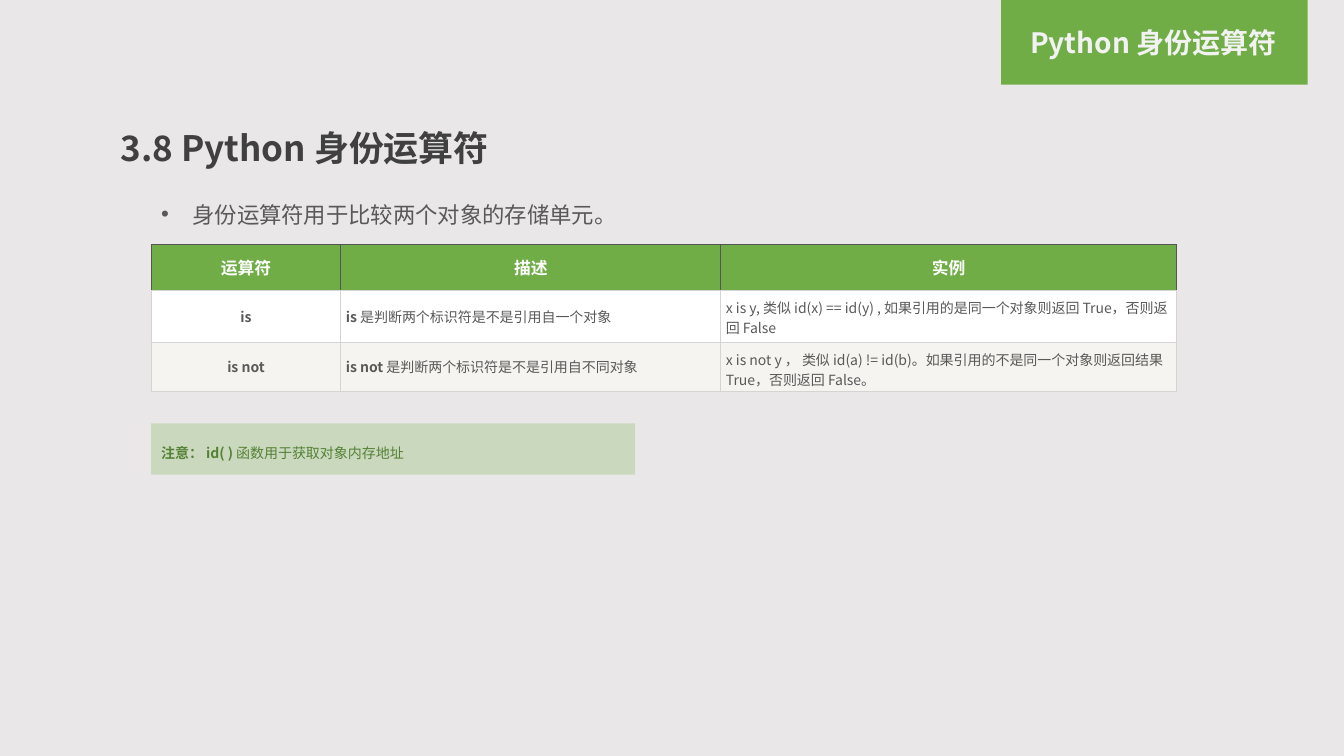
from lxml.etree import SubElement
from pptx import Presentation
from pptx.dml.color import RGBColor
from pptx.enum.shapes import MSO_SHAPE
from pptx.enum.text import MSO_ANCHOR, MSO_AUTO_SIZE, PP_ALIGN
from pptx.oxml.ns import qn
from pptx.util import Inches, Pt

# Content: a text is a list of (words, bold) runs
TITLE = [("Python 身份运算符", True)]
HEADING = [("3.8 Python 身份运算符", True)]
INTRO = [("身份运算符用于比较两个对象的存储单元。", False)]
NOTE = [("注意：\u00a0id( ) ", True), ("函数用于获取对象内存地址", False)]
OPERATORS = [
    [[("运算符", True)], [("描述", True)], [("实例", True)]],
    [[("is", True)],
     [("is ", True), ("是判断两个标识符是不是引用自一个对象", False)],
     [("x is y, 类似\u00a0id(x) == id(y)\u00a0, 如果引用的是同一个对象则返回 True，否则返回 False", False)]],
    [[("is not", True)],
     [("is not ", True), ("是判断两个标识符是不是引用自不同对象", False)],
     [("x is not y\u00a0， 类似\u00a0id(a) != id(b)。如果引用的不是同一个对象则返回结果 True，否则返回 False。", False)]],
]

# Style
FONT = "Noto Sans CJK SC"
BACKGROUND = RGBColor(0xE9, 0xE7, 0xE7)
GREEN = RGBColor(0x70, 0xAD, 0x47)
DARK_GREEN = RGBColor(0x54, 0x82, 0x35)
PALE = RGBColor(0xF2, 0xF2, 0xF2)
CHARCOAL = RGBColor(0x40, 0x40, 0x40)
GREY = RGBColor(0x59, 0x59, 0x59)
WHITE = RGBColor(0xFF, 0xFF, 0xFF)
CREAM = RGBColor(0xF6, 0xF4, 0xF0)
HEADER_LINE = RGBColor(0x55, 0x55, 0x55)
CELL_LINE = RGBColor(0xD4, 0xD4, 0xD4)

# Layout, in inches
LEFT = 1.5
TABLE_TOP = 2.43
COLUMNS = [1.88, 3.77, 4.52]
ROWS = [0.45, 0.52, 0.48]


def box(*lengths):
    return [Inches(length) for length in lengths]


def write(frame, runs, size, color, align=PP_ALIGN.LEFT, spacing=None):
    paragraph = frame.paragraphs[0]
    paragraph.alignment = align
    paragraph.line_spacing = spacing
    for words, bold in runs:
        run = paragraph.add_run()
        run.text = words
        font = run.font
        font.name, font.size, font.bold = FONT, Pt(size), bold
        font.color.rgb = color
        SubElement(font._element, qn("a:ea"), typeface=FONT)
    return paragraph


def add_block(place, color):
    block = slide.shapes.add_shape(MSO_SHAPE.RECTANGLE, *box(*place))
    block.shadow.inherit = False
    block.fill.solid()
    block.fill.fore_color.rgb = color
    block.line.fill.background()
    return block


def add_text(place, runs, size, color):
    frame = slide.shapes.add_textbox(*box(*place)).text_frame
    frame.word_wrap = True
    return write(frame, runs, size, color, spacing=1.5)


def set_borders(cell, colors):
    properties = cell._tc.get_or_add_tcPr()
    for index, (side, color) in enumerate(zip(("lnL", "lnR", "lnT", "lnB"), colors)):
        line = properties.makeelement(qn(f"a:{side}"), {"w": str(Pt(0.75))})
        fill = SubElement(line, qn("a:solidFill"))
        SubElement(fill, qn("a:srgbClr"), val=str(color))
        properties.insert(index, line)


deck = Presentation()
deck.slide_width, deck.slide_height = box(13.33, 7.5)
slide = deck.slides.add_slide(deck.slide_layouts[5])
slide.background.fill.solid()
slide.background.fill.fore_color.rgb = BACKGROUND

# Title on its green band
title = slide.shapes.title
title.left, title.top, title.width, title.height = box(9.94, 0.23, 3, 0.42)
title.text_frame.auto_size = MSO_AUTO_SIZE.NONE
title.text_frame.vertical_anchor = MSO_ANCHOR.MIDDLE
write(title.text_frame, TITLE, 20, PALE, PP_ALIGN.CENTER, 0.9)
band = add_block((9.93, 0, 3.04, 0.84), GREEN)
title.element.addprevious(band.element)

# Heading and bulleted introduction
add_text((1.1, 1, 9.71, 0.73), HEADING, 25, CHARCOAL)
intro = add_text((LEFT, 1.81, 10.33, 0.46), INTRO, 16, GREY)
bullet = intro._p.get_or_add_pPr()
bullet.set("marL", str(Inches(0.31)))
bullet.set("indent", str(-Inches(0.31)))
SubElement(bullet, qn("a:buFont"), typeface="Arial")
SubElement(bullet, qn("a:buChar"), char="•")

# Operator table
operators = slide.shapes.add_table(
    len(ROWS), len(COLUMNS), *box(LEFT, TABLE_TOP, sum(COLUMNS), sum(ROWS))).table
for column, width in zip(operators.columns, COLUMNS):
    column.width = Inches(width)
for r, (height, texts) in enumerate(zip(ROWS, OPERATORS)):
    operators.rows[r].height = Inches(height)
    header = r == 0
    for c, runs in enumerate(texts):
        cell = operators.cell(r, c)
        cell.vertical_anchor = MSO_ANCHOR.MIDDLE
        cell.margin_left = cell.margin_right = Inches(0.02 if header else 0.05)
        cell.margin_top = cell.margin_bottom = Inches(0.02 if header else 0.07)
        cell.fill.solid()
        cell.fill.fore_color.rgb = (GREEN, WHITE, CREAM)[r]
        edge = HEADER_LINE if header else CELL_LINE
        set_borders(cell, (edge, edge, edge, CELL_LINE))
        write(cell.text_frame, runs, 12 if header else 10, WHITE if header else GREY,
              PP_ALIGN.CENTER if header or c == 0 else PP_ALIGN.LEFT)

# Translucent note
note = add_block((LEFT, 4.2, 4.8, 0.51), GREEN)
tint = note.fill._xPr.find(qn("a:solidFill"))[0]
SubElement(tint, qn("a:alpha"), val="25000")
note.text_frame.word_wrap = True
note.text_frame.vertical_anchor = MSO_ANCHOR.MIDDLE
write(note.text_frame, NOTE, 10, DARK_GREEN, spacing=1.5)

deck.save("out.pptx")
